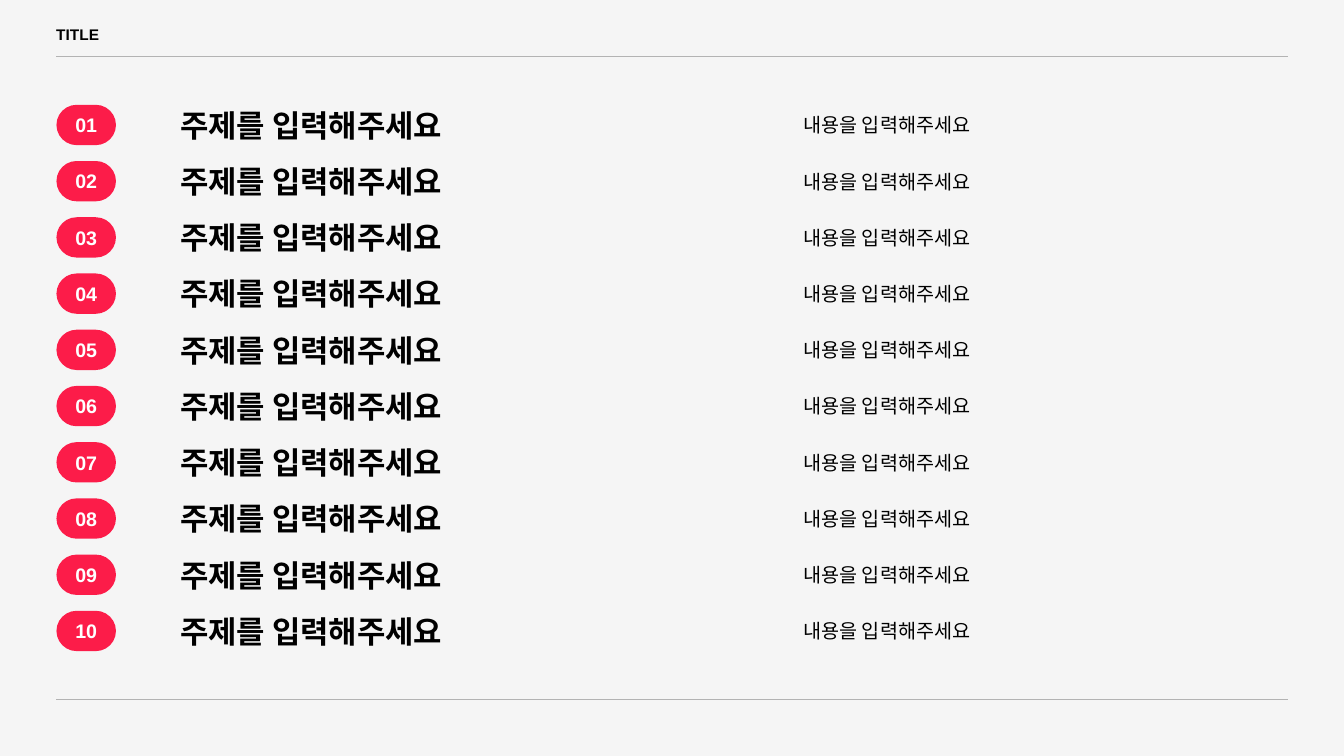
import pptx
import pptx.dml.color
import pptx.enum.shapes
import pptx.enum.text
import pptx.oxml.ns
import pptx.util
from lxml import etree

ALIGN = pptx.enum.text.PP_ALIGN
ANCHOR = pptx.enum.text.MSO_ANCHOR

# Page grid, in inches
WIDTH, HEIGHT = 13.33, 7.5
LEFT, RIGHT = 0.56, 12.77
RULES = (0.56, 6.94)
FIRST_ROW, LAST_ROW, ROW_HEIGHT = 1.04, 6.06, 0.4
ROWS = 10
# Columns as (left, width)
NUMBER_COL = (LEFT, 0.59)
TOPIC_COL = (1.69, 5.87)
DETAIL_COL = (7.87, 4.9)

PAPER, INK, WHITE = "F5F5F5", "000000", "FFFFFF"
ACCENT, RULE_GREY = "FC1C49", "B3B3B3"


def rgb(color):
    return pptx.dml.color.RGBColor.from_string(color)


def box(col, top, height):
    left, width = col
    return [pptx.util.Inches(v) for v in (left, top, width, height)]


def write(sp, text, size, color=INK, bold=False, align=ALIGN.LEFT, anchor=ANCHOR.MIDDLE):
    tf = sp.text_frame
    tf.word_wrap = True
    tf.vertical_anchor = anchor
    tf.text = text
    p = tf.paragraphs[0]
    p.alignment = align
    font = p.runs[0].font
    font.name = "Arial"
    font.size = pptx.util.Pt(size)
    font.bold = bold
    font.color.rgb = rgb(color)


def add_text(s, col, top, height, text, size, **style):
    write(s.shapes.add_textbox(*box(col, top, height)), text, size, **style)


def add_pill(s, col, top, text):
    kind = pptx.enum.shapes.MSO_SHAPE.ROUNDED_RECTANGLE
    sp = s.shapes.add_shape(kind, *box(col, top, ROW_HEIGHT))
    sp.adjustments[0] = 0.5
    sp.shadow.inherit = False
    sp.fill.solid()
    sp.fill.fore_color.rgb = rgb(ACCENT)
    sp.line.fill.background()
    write(sp, text, 14, color=WHITE, bold=True, align=ALIGN.CENTER)


def add_rule(s, y):
    ends = [pptx.util.Inches(v) for v in (LEFT, y, RIGHT, y)]
    line = s.shapes.add_connector(pptx.enum.shapes.MSO_CONNECTOR.STRAIGHT, *ends)
    line.line.color.rgb = rgb(RULE_GREY)
    line.line.width = pptx.util.Pt(0.75)
    etree.SubElement(line._element.spPr, pptx.oxml.ns.qn("a:effectLst"))


def main():
    prs = pptx.Presentation()
    prs.slide_width = pptx.util.Inches(WIDTH)
    prs.slide_height = pptx.util.Inches(HEIGHT)
    s = prs.slides.add_slide(prs.slide_layouts[6])

    # Background and rules
    s.background.fill.solid()
    s.background.fill.fore_color.rgb = rgb(PAPER)
    for y in RULES:
        add_rule(s, y)

    # Header
    add_text(s, (0.46, 5.84), 0.2, 0.29, "TITLE", 11, bold=True, anchor=ANCHOR.TOP)

    # Numbered agenda rows
    pitch = (LAST_ROW - FIRST_ROW) / (ROWS - 1)
    for i in range(ROWS):
        top = FIRST_ROW + i * pitch
        add_pill(s, NUMBER_COL, top, f"{i + 1:02d}")
        add_text(s, TOPIC_COL, top, ROW_HEIGHT, "주제를 입력해주세요", 22, bold=True)
        add_text(s, DETAIL_COL, top, ROW_HEIGHT, "내용을 입력해주세요", 14)

    prs.save("out.pptx")


if __name__ == "__main__":
    main()
